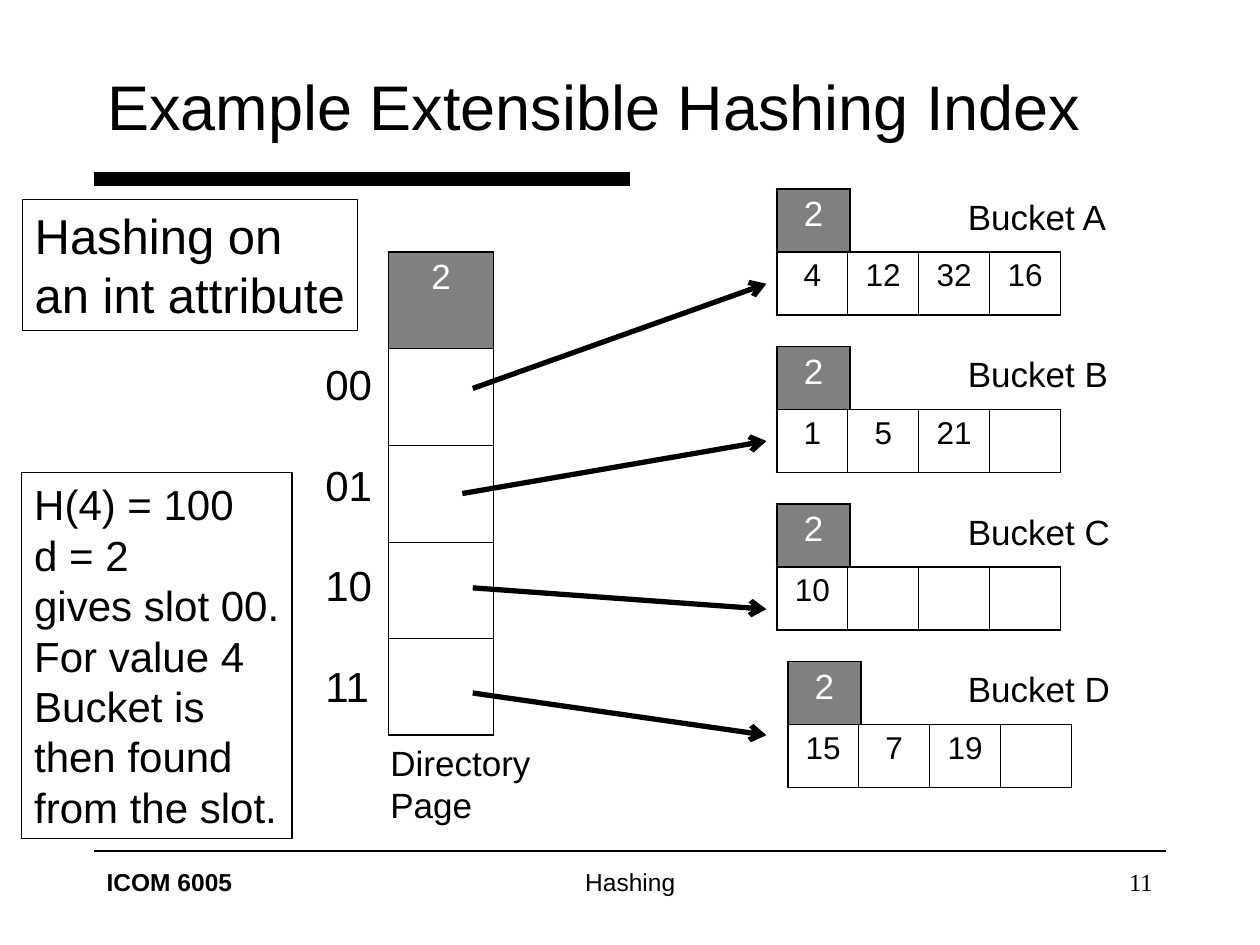
from dataclasses import dataclass

from lxml import etree
from pptx import Presentation
from pptx.dml.color import RGBColor
from pptx.enum.shapes import MSO_CONNECTOR, MSO_SHAPE
from pptx.enum.text import MSO_ANCHOR, MSO_AUTO_SIZE, PP_ALIGN
from pptx.oxml.ns import qn
from pptx.util import Cm, Pt

BLACK = RGBColor(0x00, 0x00, 0x00)
WHITE = RGBColor(0xFF, 0xFF, 0xFF)
GRAY = RGBColor(0x80, 0x80, 0x80)
LEFT, CENTER, RIGHT = PP_ALIGN.LEFT, PP_ALIGN.CENTER, PP_ALIGN.RIGHT
TOP, MIDDLE = MSO_ANCHOR.TOP, MSO_ANCHOR.MIDDLE
FIT_TEXT, NO_FIT = MSO_AUTO_SIZE.SHAPE_TO_FIT_TEXT, MSO_AUTO_SIZE.NONE
STRAIGHT = MSO_CONNECTOR.STRAIGHT
RECTANGLE = MSO_SHAPE.RECTANGLE

OUTER_BORDER, INNER_BORDER = 1.08, 0.45
LINE_HEIGHT = 1.2
BUCKET_SIZE = 4
BUCKET_TOP, BUCKET_STEP = 3.81, 3.175
DEPTH_WIDTH, BUCKET_ROW, BUCKET_WIDTH = 1.48, 1.27, 5.72
BUCKET_LABEL_LEFT = 19.26
ARROW_END = 15.45


@dataclass(frozen=True)
class Box:
    """A rectangle in centimetres."""
    left: float
    top: float
    width: float
    height: float

    def lengths(self) -> tuple:
        return Cm(self.left), Cm(self.top), Cm(self.width), Cm(self.height)


@dataclass(frozen=True)
class Bucket:
    name: str
    left: float
    values: tuple
    label_width: float
    arrow_start: tuple
    arrow_end_y: float


@dataclass(frozen=True)
class Note:
    box: Box
    lines: tuple
    size: int


@dataclass(frozen=True)
class FooterPart:
    text: str
    box: Box
    align: PP_ALIGN
    font: str = "Arial"
    bold: bool = False


BUCKETS = (
    Bucket("Bucket A", 15.66, ("4", "12", "32", "16"), 3.33, (9.53, 7.83), 5.72),
    Bucket("Bucket B", 15.66, ("1", "5", "21"), 3.33, (9.32, 9.95), 8.89),
    Bucket("Bucket C", 15.66, ("10",), 3.38, (9.53, 11.85), 12.28),
    Bucket("Bucket D", 15.88, ("15", "7", "19"), 3.38, (9.53, 13.97), 14.82),
)
NOTES = (
    Note(Box(0.45, 4.02, 6.76, 2.64), ("Hashing on", "an int attribute"), 28),
    Note(Box(0.44, 9.53, 5.45, 7.37),
         ("H(4) = 100", "d = 2", "gives slot 00.", "For value 4",
          "Bucket is", "then found", "from the slot."), 24),
)
FOOTER = (
    FooterPart("ICOM 6005", Box(1.9, 17.36, 5.29, 1.27), LEFT, bold=True),
    FooterPart("Hashing", Box(8.68, 17.36, 8.05, 1.27), CENTER),
    FooterPart("11", Box(18.2, 17.36, 5.29, 1.27), RIGHT, font="Times New Roman"),
)


def add_run(paragraph, text: str, size: float, color: RGBColor = BLACK,
            font: str = "Arial", bold: bool = False) -> None:
    run = paragraph.add_run()
    run.text = text
    run.font.size = Pt(size)
    run.font.name = font
    run.font.bold = bold
    run.font.color.rgb = color


def write_lines(shape, lines: tuple, size: int, align: PP_ALIGN = LEFT,
                gap: float = 0, wrap: bool = False, anchor: MSO_ANCHOR = TOP,
                font: str = "Arial", bold: bool = False) -> None:
    """Write one paragraph per line, with gap points between them."""
    frame = shape.text_frame
    frame.word_wrap = wrap
    frame.auto_size = NO_FIT if wrap else FIT_TEXT
    frame.vertical_anchor = anchor
    for index, line in enumerate(lines):
        paragraph = frame.add_paragraph() if index else frame.paragraphs[0]
        paragraph.alignment = align
        paragraph.line_spacing = Pt(size * LINE_HEIGHT)
        if index and gap:
            paragraph.space_before = Pt(gap)
        add_run(paragraph, line, size, font=font, bold=bold)


def add_text(slide, box: Box, lines: tuple, size: int, **options) -> None:
    write_lines(slide.shapes.add_textbox(*box.lengths()), lines, size, **options)


def add_note(slide, note: Note) -> None:
    """Add an outlined note; its right margin is zero so that each line fits."""
    frame = slide.shapes.add_shape(RECTANGLE, *note.box.lengths())
    frame.shadow.inherit = False
    frame.fill.background()
    frame.line.color.rgb = BLACK
    frame.line.width = Pt(0.75)
    frame.text_frame.margin_right = 0
    write_lines(frame, note.lines, note.size, wrap=True)


def add_line(slide, start: tuple, end: tuple, width: float, arrow: bool = False) -> None:
    line = slide.shapes.add_connector(
        STRAIGHT, Cm(start[0]), Cm(start[1]), Cm(end[0]), Cm(end[1]))
    line.line.color.rgb = BLACK
    line.line.width = Pt(width)
    properties = line._element.spPr
    if arrow:
        etree.SubElement(properties.find(qn("a:ln")), qn("a:tailEnd"), type="arrow")
    etree.SubElement(properties, qn("a:effectLst"))


def set_borders(cell, widths: dict) -> None:
    """Draw the cell's sides; widths maps L, R, T and B, in that order, to points."""
    properties = cell._tc.get_or_add_tcPr()
    for side, width in widths.items():
        border = etree.SubElement(properties, qn(f"a:ln{side}"), w=str(int(Pt(width))))
        fill = etree.SubElement(border, qn("a:solidFill"))
        etree.SubElement(fill, qn("a:srgbClr"), val=str(BLACK))


def add_grid(slide, box: Box, rows: list, size: int, header: bool = False) -> None:
    """Add a table with thick outer and thin inner lines, and a gray first row if header."""
    row_count, column_count = len(rows), len(rows[0])
    table = slide.shapes.add_table(row_count, column_count, *box.lengths()).table
    table.first_row = table.horz_banding = False
    for r, row in enumerate(rows):
        for c, value in enumerate(row):
            cell = table.cell(r, c)
            at_edge = {"L": c == 0, "R": c == column_count - 1,
                       "T": r == 0, "B": r == row_count - 1}
            set_borders(cell, {side: OUTER_BORDER if edge else INNER_BORDER
                               for side, edge in at_edge.items()})
            shaded = header and r == 0
            if shaded:
                cell.fill.solid()
                cell.fill.fore_color.rgb = GRAY
            else:
                cell.fill.background()
            if value:
                paragraph = cell.text_frame.paragraphs[0]
                paragraph.alignment = CENTER
                add_run(paragraph, value, size, WHITE if shaded else BLACK)


def add_bucket(slide, bucket: Bucket, top: float) -> None:
    padding = ("",) * (BUCKET_SIZE - len(bucket.values))
    values_box = Box(bucket.left, top + BUCKET_ROW, BUCKET_WIDTH, BUCKET_ROW)
    add_grid(slide, values_box, [bucket.values + padding], 18)
    add_grid(slide, Box(bucket.left, top, DEPTH_WIDTH, BUCKET_ROW), [("2",)], 20, header=True)
    add_line(slide, bucket.arrow_start, (ARROW_END, bucket.arrow_end_y), 3, arrow=True)
    add_text(slide, Box(BUCKET_LABEL_LEFT, top, bucket.label_width, 1.12), (bucket.name,), 20)


def main() -> None:
    presentation = Presentation()
    presentation.slide_width, presentation.slide_height = Cm(25.4), Cm(19.05)
    slide = presentation.slides.add_slide(presentation.slide_layouts[6])

    add_line(slide, (1.9, 3.6), (12.7, 3.6), 8)
    add_line(slide, (1.9, 17.15), (23.5, 17.15), 1)
    for part in FOOTER:
        add_text(slide, part.box, (part.text,), 14, align=part.align, wrap=True,
                 font=part.font, bold=part.bold)
    add_text(slide, Box(1.91, 0.85, 21.59, 2.54), ("Example Extensible Hashing Index",), 36,
             wrap=True, anchor=MIDDLE)

    directory = [("2",)] + [("",)] * 4
    add_grid(slide, Box(7.83, 5.08, 2.12, 9.74), directory, 20, header=True)
    add_text(slide, Box(7.62, 14.82, 3.33, 1.96), ("Directory", "Page"), 20)
    add_text(slide, Box(6.31, 7.1, 1.45, 7.37), ("00", "01", "10", "11"), 24,
             gap=24 * LINE_HEIGHT)
    for index, bucket in enumerate(BUCKETS):
        add_bucket(slide, bucket, BUCKET_TOP + index * BUCKET_STEP)
    for note in NOTES:
        add_note(slide, note)
    presentation.save("out.pptx")


if __name__ == "__main__":
    main()
